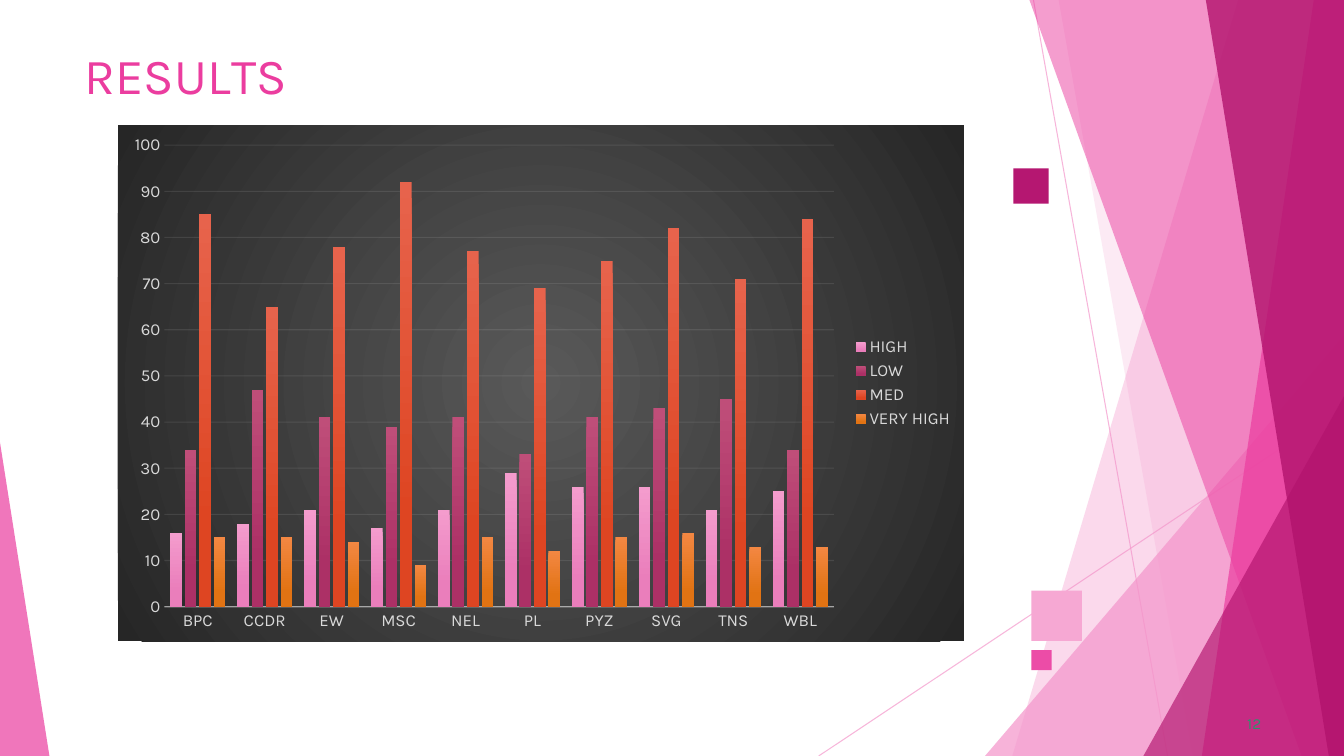
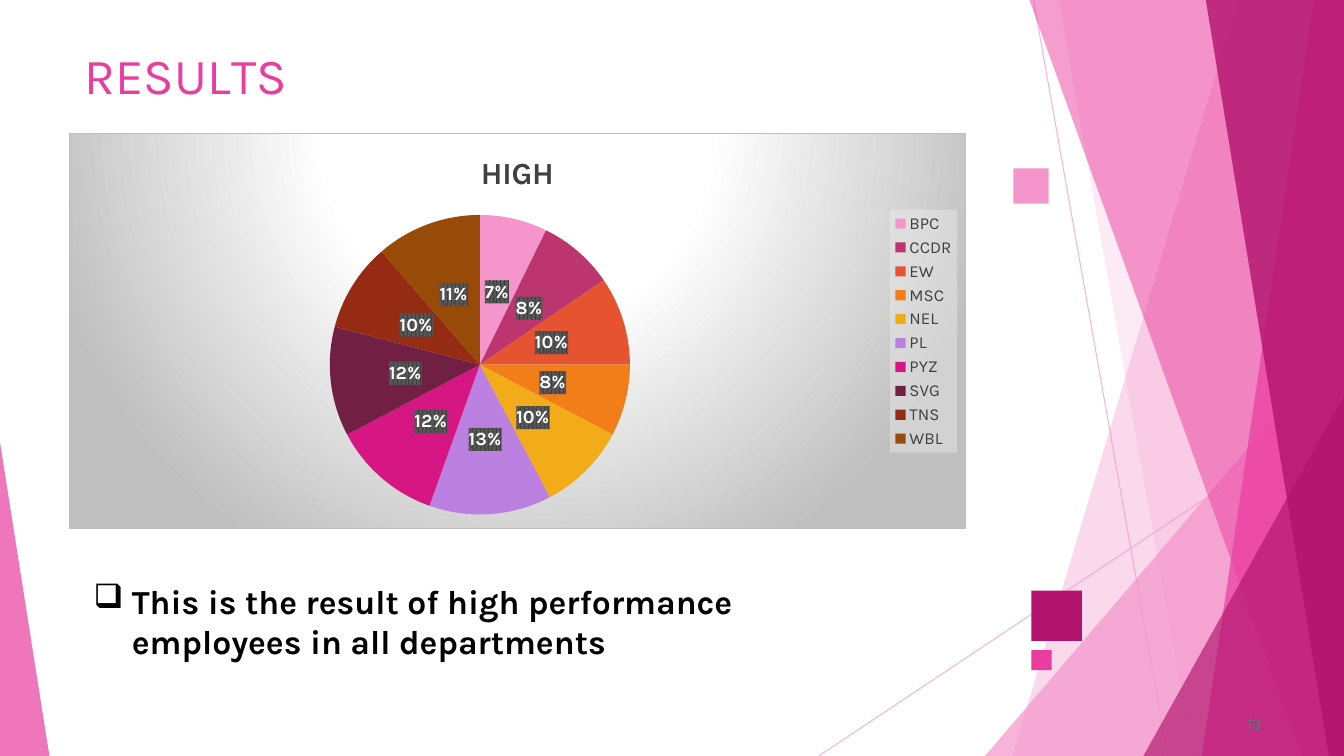
from lxml import etree
from pptx import Presentation
from pptx.chart.data import CategoryChartData
from pptx.dml.color import RGBColor
from pptx.enum.chart import XL_CHART_TYPE, XL_LABEL_POSITION, XL_LEGEND_POSITION, XL_TICK_MARK
from pptx.enum.shapes import MSO_CONNECTOR, MSO_SHAPE
from pptx.enum.text import MSO_ANCHOR, MSO_AUTO_SIZE, PP_ALIGN
from pptx.oxml import parse_xml
from pptx.oxml.ns import nsdecls, qn
from pptx.util import Inches, Pt

COLUMNS, PIE = XL_CHART_TYPE.COLUMN_CLUSTERED, XL_CHART_TYPE.PIE
RIGHT_LEGEND, CENTER_LABEL = XL_LEGEND_POSITION.RIGHT, XL_LABEL_POSITION.CENTER
NO_TICK = XL_TICK_MARK.NONE
STRAIGHT = MSO_CONNECTOR.STRAIGHT
RECTANGLE, TRIANGLE = MSO_SHAPE.RECTANGLE, MSO_SHAPE.ISOSCELES_TRIANGLE
TOP, LEFT, NO_FIT = MSO_ANCHOR.TOP, PP_ALIGN.LEFT, MSO_AUTO_SIZE.NONE

WIDTH, HEIGHT = 13.33, 7.5
FONT = "Karla"
COLORS = {
    "light": "F496CB", "pink": "EB3D9F", "dark": "B2136D", "number": "2D936B",
    "black": "000000", "white": "FFFFFF", "axis_text": "D9D9D9", "axis_line": "F2F2F2",
    "gray_text": "404040", "label_back": "595959", "border": "BFBFBF",
}

# Backdrop, back to front
LINES = [((10.25, 0), (11.58, HEIGHT)), ((WIDTH, 4.03), (8.12, HEIGHT))]
# band: left edge at top and at bottom; triangle: left, top, width, corner side
BACKDROP = [
    ("band", (12.28, 10.04), "light", 36),
    ("band", (10.5, 11.83), "light", 20),
    ("triangle", (9.77, 3.33, 3.56, 1), "light", 72),
    ("band", (10.21, 12.91), "pink", 50),
    ("band", (13.03, 11.92), "pink", 70),
    ("band", (11.96, 13.18), "dark", 80),
    ("triangle", (11.34, 3.93, 1.99, 1), "dark", 66),
    ("triangle", (0, 4.39, 0.49, 0), "pink", 70),
]
SQUARES = [(10.23, 5.86, 0.5), (10.05, 1.67, 0.35), (10.23, 6.45, 0.2)]

TITLE_RUNS = [("R", 0), ("E", -0.4), ("S", 0.1), ("U", -0.3), ("L", -4), ("TS", 0)]
DEPARTMENTS = ["BPC", "CCDR", "EW", "MSC", "NEL", "PL", "PYZ", "SVG", "TNS", "WBL"]
LEVELS = [
    ("HIGH", [16, 18, 21, 17, 21, 29, 26, 26, 21, 25], ("F49CCD", "EA7EBB")),
    ("LOW", [34, 47, 41, 39, 41, 33, 41, 43, 45, 34], ("BF4E79", "AC3066")),
    ("MED", [85, 65, 78, 92, 77, 69, 75, 82, 71, 84], ("E7634C", "DE4522")),
    ("VERY HIGH", [15, 15, 14, 9, 15, 12, 15, 16, 13, 13], ("F38742", "E17313")),
]
SLICE_COLORS = ["F496CB", "BC356F", "E65331", "F27E19", "F2AC19",
                "BC80E0", "D61682", "712043", "952B12", "984B09"]
CONCLUSION = "This is the result of high performance employees in all departments"


def rgb(name):
    return RGBColor.from_string(COLORS.get(name, name))


def apply(target, **values):
    for name, value in values.items():
        setattr(target, name, value)


def set_font(font, size, color, bold=False):
    apply(font, name=FONT, size=Pt(size), bold=bold)
    font.color.rgb = rgb(color)


def add_alpha(element, percent):
    for color in element.iter(qn("a:srgbClr")):
        etree.SubElement(color, qn("a:alpha")).set("val", str(percent * 1000))


def fill_plain(shape, color):
    shape.shadow.inherit = False
    shape.fill.solid()
    shape.fill.fore_color.rgb = rgb(color)
    shape.line.fill.background()


def gradient(stops, center=None):
    """XML of a vertical gradient, or of a circular one around center (l, t, r, b in percent)."""
    stop_xml = "".join(f'<a:gs pos="{position * 1000}"><a:srgbClr val="{color}"/></a:gs>'
                       for position, color in stops)
    if center:
        sides = " ".join(f'{side}="{value * 1000}"' for side, value in zip("ltrb", center))
        direction = f'<a:path path="circle"><a:fillToRect {sides}/></a:path>'
    else:
        direction = '<a:lin ang="5400000" scaled="0"/>'
    return f'<a:gradFill {nsdecls("a")}><a:gsLst>{stop_xml}</a:gsLst>{direction}</a:gradFill>'


def chart_properties(content):
    return parse_xml(f'<c:spPr {nsdecls("c", "a")}>{content}</c:spPr>')


def add_backdrop(slide, layout):
    """Draw the shared bands and move them to the layout."""
    shapes = slide.shapes
    drawn = []
    for start, end in LINES:
        line = shapes.add_connector(STRAIGHT, *map(Inches, start + end))
        line.line.color.rgb = rgb("light")
        line.line.width = Pt(0.75)
        etree.SubElement(line._element.spPr, qn("a:effectLst"))
        add_alpha(line._element, 70)
        drawn.append(line)
    for kind, place, color, opacity in BACKDROP:
        if kind == "band":
            top_x, bottom_x = place
            corners = [(WIDTH, 0), (WIDTH, HEIGHT), (bottom_x, HEIGHT)]
            builder = shapes.build_freeform(Inches(top_x), 0)
            builder.add_line_segments([(Inches(x), Inches(y)) for x, y in corners])
            shape = builder.convert_to_shape()
        else:
            left, top, width, corner = place
            shape = shapes.add_shape(TRIANGLE, *map(Inches, (left, top, width, HEIGHT - top)))
            shape.adjustments[0] = corner
        fill_plain(shape, color)
        add_alpha(shape._element, opacity)
        drawn.append(shape)
    for number, shape in enumerate(drawn, 100):
        shape._element.xpath(".//p:cNvPr")[0].set("id", str(number))
        layout.shapes._spTree.append(shape._element)


def prepare_frame(shape, insets):
    frame = shape.text_frame
    apply(frame, word_wrap=True, auto_size=NO_FIT, vertical_anchor=TOP)
    apply(frame, **{f"margin_{side}": Inches(inset)
                    for side, inset in zip(("left", "top", "right", "bottom"), insets)})
    return frame


def add_spaced_run(paragraph, text, spacing, size, color):
    run = paragraph.add_run()
    run.text = text
    set_font(run.font, size, color)
    run.font._element.set("spc", str(round(spacing * 100)))


def add_frame_parts(slide, number, square_colors):
    for (left, top, side), color in zip(SQUARES, square_colors):
        square = slide.shapes.add_shape(RECTANGLE, *map(Inches, (left, top, side, side)))
        fill_plain(square, color)
    title = slide.shapes.title
    apply(title, left=Inches(0.83), top=Inches(0.42), width=Inches(2.67), height=Inches(0.82))
    paragraph = prepare_frame(title, (0.01, 0.02, 0, 0)).paragraphs[0]
    apply(paragraph, alignment=LEFT, space_before=Pt(1.1))
    for text, spacing in TITLE_RUNS:
        add_spaced_run(paragraph, text, spacing, 36, "pink")
    box = slide.shapes.add_textbox(*map(Inches, (12.33, 7.08, 0.25, 0.19)))
    paragraph = prepare_frame(box, (0.04, 0, 0, 0)).paragraphs[0]
    paragraph.space_before = Pt(0.6)
    add_spaced_run(paragraph, str(number), 0.1, 11, "number")


def add_results_chart(slide, kind, place, plot_area, background, legend_color):
    """Add a chart of all levels; plot_area is x, y, w, h in inches inside the chart."""
    data = CategoryChartData()
    data.categories = DEPARTMENTS
    for name, values, _ in LEVELS:
        data.add_series(name, values)
    chart = slide.shapes.add_chart(kind, *map(Inches, place), data).chart
    chart.replace_data(data)  # a new pie holds only its first series
    set_font(chart.font, 10, "black")
    apply(chart, has_title=False, has_legend=True)
    apply(chart.legend, position=RIGHT_LEGEND, include_in_layout=False)
    set_font(chart.legend.font, 12, legend_color)
    chart_element = chart._chartSpace.find(qn("c:chart"))
    chart_element.addnext(chart_properties(background))
    area = chart_element.find(qn("c:plotArea"))
    for old_layout in area.findall(qn("c:layout")):
        area.remove(old_layout)
    modes = '<c:layoutTarget val="inner"/><c:xMode val="edge"/><c:yMode val="edge"/>'
    sizes = "".join(f'<c:{key} val="{length / whole}"/>'
                    for key, length, whole in zip("xywh", plot_area, place[2:] * 2))
    area.insert(0, parse_xml(f'<c:layout {nsdecls("c")}><c:manualLayout>{modes}{sizes}'
                             '</c:manualLayout></c:layout>'))
    return chart


def add_level_columns(slide):
    background = gradient([(0, "595959"), (100, "262626")], (50, 50, 50, 50))
    chart = add_results_chart(slide, COLUMNS, (1.17, 1.24, 8.39, 5.12), (0.46, 0.2, 6.64, 4.58),
                              background + "<a:ln><a:noFill/></a:ln>", "axis_text")
    plot = chart.plots[0]
    apply(plot, gap_width=100, overlap=-24, vary_by_categories=False)
    for series, (_, _, (top_color, bottom_color)) in zip(plot.series, LEVELS):
        fill = gradient([(0, top_color), (78, bottom_color)])
        series._element.get_or_add_spPr().append(parse_xml(fill))
    categories, values = chart.category_axis, chart.value_axis
    for axis in (categories, values):
        apply(axis, major_tick_mark=NO_TICK, minor_tick_mark=NO_TICK)
        set_font(axis.tick_labels.font, 12, "axis_text")
    apply(values, minimum_scale=0, maximum_scale=100, major_unit=10)
    values.format.line.fill.background()
    gridlines = values.major_gridlines.format.line
    for line, width in ((categories.format.line, 1), (gridlines, 0.75)):
        line.color.rgb = rgb("axis_line")
        line.width = Pt(width)
    add_alpha(categories._element.find(qn("c:spPr")), 54)
    add_alpha(values._element.find(qn("c:majorGridlines")), 10)


def add_high_pie(slide):
    background = gradient([(0, "FFFFFF"), (39, "FFFFFF"), (100, "BFBFBF")], (50, -80, 50, 180))
    border = (f'<a:ln w="{Pt(0.75)}"><a:solidFill><a:srgbClr val="{COLORS["border"]}"/>'
              '</a:solidFill></a:ln>')
    chart = add_results_chart(slide, PIE, (0.68, 1.32, 8.9, 3.93), (2.59, 0.81, 2.98, 2.98),
                              background + border, "gray_text")
    chart.has_title = True
    title_frame = chart.chart_title.text_frame
    title_frame.text = LEVELS[0][0]
    set_font(title_frame.paragraphs[0].runs[0].font, 22, "gray_text", True)
    legend_fill = chart_properties(f'<a:solidFill><a:srgbClr val="{COLORS["axis_line"]}"/>'
                                   '</a:solidFill>')
    add_alpha(legend_fill, 39)
    chart.legend._element.find(qn("c:overlay")).addnext(legend_fill)

    pattern = "".join(f'<a:{part}><a:srgbClr val="{COLORS[color]}"/></a:{part}>'
                      for part, color in (("fgClr", "gray_text"), ("bgClr", "label_back")))
    for series in chart.plots[0].series:
        for index, color in enumerate(SLICE_COLORS):
            fill = series.points[index].format.fill
            fill.solid()
            fill.fore_color.rgb = rgb(color)
        labels = series.data_labels
        apply(labels, show_percentage=True, show_value=False, position=CENTER_LABEL)
        set_font(labels.font, 13.3, "white", True)
        label_fill = chart_properties(f'<a:pattFill prst="pct75">{pattern}</a:pattFill>')
        labels._element.find(qn("c:txPr")).addprevious(label_fill)


def add_conclusion(slide):
    box = slide.shapes.add_textbox(*map(Inches, (0.83, 5.72, 8.26, 0.91)))
    paragraph = prepare_frame(box, (0.1, 0.04, 0.1, 0.05)).paragraphs[0]
    run = paragraph.add_run()
    run.text = CONCLUSION
    set_font(run.font, 24, "black", True)
    properties = paragraph._p.get_or_add_pPr()
    indent = Inches(0.38)
    properties.set("marL", str(indent))
    properties.set("indent", str(-indent))
    etree.SubElement(properties, qn("a:buFont")).set("typeface", "Wingdings")
    etree.SubElement(properties, qn("a:buChar")).set("char", "q")


def main():
    presentation = Presentation()
    apply(presentation, slide_width=Inches(WIDTH), slide_height=Inches(HEIGHT))
    layout = presentation.slide_layouts[5]
    columns_slide, pie_slide = (presentation.slides.add_slide(layout) for _ in range(2))
    add_backdrop(columns_slide, layout)
    add_frame_parts(columns_slide, 12, ("F6A8D3", "B51771", "EC4CA7"))
    add_level_columns(columns_slide)
    add_frame_parts(pie_slide, 13, ("dark", "light", "pink"))
    add_conclusion(pie_slide)
    add_high_pie(pie_slide)
    presentation.save("out.pptx")


if __name__ == "__main__":
    main()
